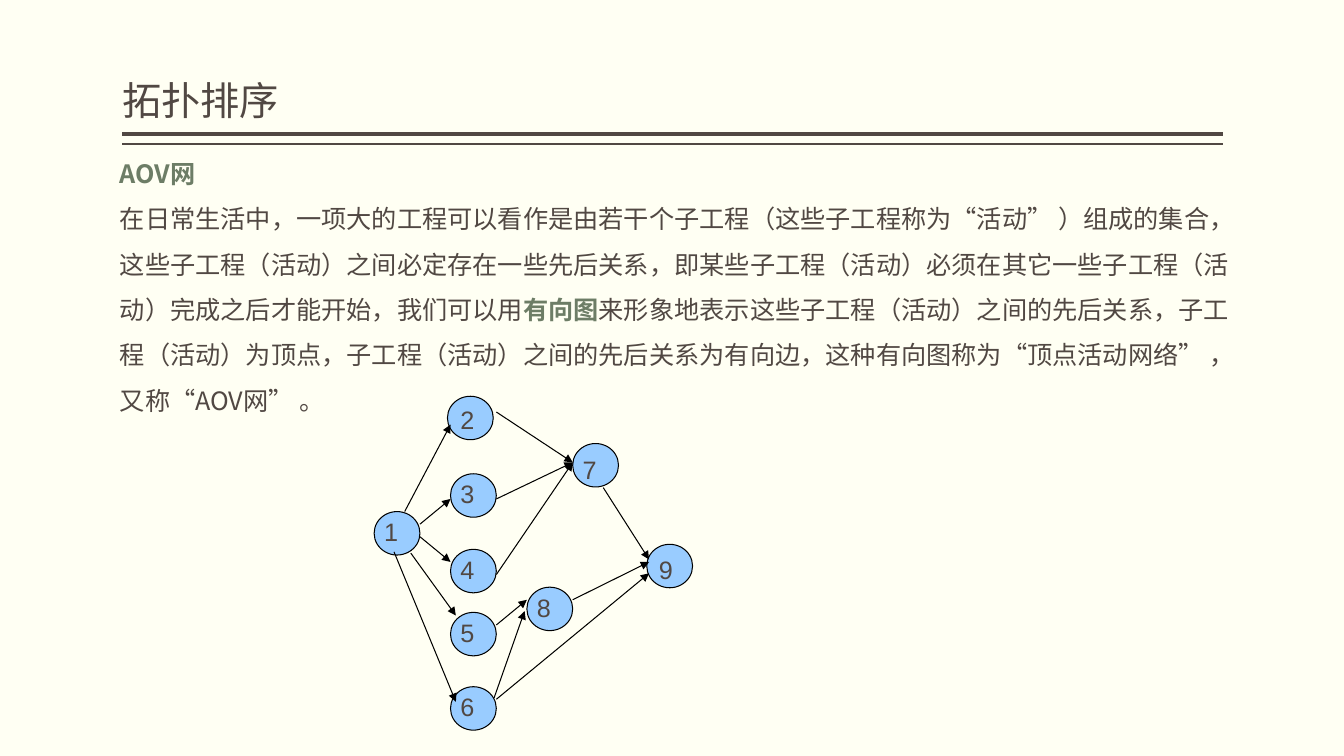
"""Build the slide on topological sorting with its AOV network."""
import lxml.etree
import pptx
import pptx.dml.color
import pptx.enum.lang
import pptx.enum.shapes
import pptx.enum.text
import pptx.oxml.ns
import pptx.util

CREAM = pptx.dml.color.RGBColor(0xFF, 0xFF, 0xF3)
BROWN = pptx.dml.color.RGBColor(0x51, 0x48, 0x43)
GREEN = pptx.dml.color.RGBColor(0x6D, 0x7D, 0x66)
BLUE = pptx.dml.color.RGBColor(0x99, 0xCC, 0xFF)
BLACK = pptx.dml.color.RGBColor(0, 0, 0)
COLUMNS, ROWS = 88, 60
CHINESE, LATIN = "Noto Sans CJK SC", "Arial"

BODY = [
    [("AOV网", True)],
    [
        ("在日常生活中，一项大的工程可以看作是由若干个子工程（这些子工程称为“活动” ）组成的集合，"
         "这些子工程（活动）之间必定存在一些先后关系，即某些子工程（活动）必须在其它一些子工程"
         "（活动）完成之后才能开始，我们可以用", False),
        ("有向图", True),
        ("来形象地表示这些子工程（活动）之间的先后关系，子工程（活动）为顶点，子工程（活动）"
         "之间的先后关系为有向边，这种有向图称为“顶点活动网络” ，又称“AOV网” 。", False),
    ],
]
VERTICES = {
    1: (24.5, 40.6), 2: (29.5, 31.7), 3: (29.5, 37.6),
    4: (29.5, 43.6), 5: (29.5, 48.6), 6: (29.5, 54.5),
    7: (37.5, 35.7), 8: (34.5, 46.6), 9: (42.5, 43.6),
}
CIRCLE_SHIFTS = {2: (-0.2, -0.25), 7: (0, -0.5), 9: (-0.15, -0.4)}
EDGES = [
    (1, (2, 0), 2, (0, 2)), (1, (3, 1), 3, (0, 2)),
    (1, (3, 2), 4, (0, 1)), (1, (2.4, 3.3), 5, (0.35, 0.25)),
    (1, (1.3, 3.2), 6, (0.35, 1.2)), (2, (3, 1), 7, (0, 1)),
    (3, (3, 2), 7, (0, 1)), (4, (3, 2), 7, (0, 1)),
    (5, (3, 1), 8, (0, 1)), (6, (2.85, 0.9), 8, (-0.15, 1.9)),
    (7, (2, 3), 9, (0, 0.8)), (8, (3, 1), 9, (0, 1)),
    (6, (3, 1), 9, (0, 1.9)),
]


def set_attributes(target, values):
    """Set every attribute named in the dict of values."""
    for name, value in values.items():
        setattr(target, name, value)


def shift(point, offset):
    """Move a grid point by an offset."""
    return point[0] + offset[0], point[1] + offset[1]


class SlideBuilder:
    """Place styled elements on a slide by columns and rows."""

    def __init__(self, presentation):
        """Add a title-only slide with the cream background."""
        self.column = presentation.slide_width / COLUMNS
        self.row = presentation.slide_height / ROWS
        self.slide = presentation.slides.add_slide(presentation.slide_layouts[5])
        self.slide.background.fill.solid()
        self.slide.background.fill.fore_color.rgb = CREAM

    def lengths(self, *cells):
        """Turn alternating columns and rows into lengths."""
        units = (self.column, self.row)
        return [round(cell * units[index % 2]) for index, cell in enumerate(cells)]

    def run(self, paragraph, text, size, face, color=BROWN, bold=False):
        """Add a run with its font."""
        run = paragraph.add_run()
        run.text = text
        set_attributes(run.font, {
            "size": pptx.util.Pt(size), "name": face, "bold": bold,
            "language_id": pptx.enum.lang.MSO_LANGUAGE_ID.SIMPLIFIED_CHINESE,
        })
        run.font.color.rgb = color
        properties = run.font._element
        east_asian = lxml.etree.Element(pptx.oxml.ns.qn("a:ea"), typeface=face)
        properties.find(pptx.oxml.ns.qn("a:latin")).addnext(east_asian)

    def title(self, text, *box):
        """Move and format the title placeholder."""
        shape = self.slide.shapes.title
        set_attributes(shape, dict(zip(("left", "top", "width", "height"), self.lengths(*box))))
        set_attributes(shape.text_frame, {
            "margin_left": 0, "margin_right": 0, "word_wrap": True,
            "vertical_anchor": pptx.enum.text.MSO_ANCHOR.BOTTOM,
        })
        paragraph = shape.text_frame.paragraphs[0]
        set_attributes(paragraph, {"alignment": pptx.enum.text.PP_ALIGN.LEFT, "line_spacing": 0.9})
        self.run(paragraph, text, 28, CHINESE)

    def body(self, paragraphs, *box):
        """Add the running text with green key terms."""
        frame = self.slide.shapes.add_textbox(*self.lengths(*box)).text_frame
        frame.word_wrap = True
        for index, pieces in enumerate(paragraphs):
            paragraph = frame.add_paragraph() if index else frame.paragraphs[0]
            paragraph.line_spacing = 1.5
            for text, key in pieces:
                self.run(paragraph, text, 18, CHINESE, GREEN if key else BROWN, key)

    def line(self, start, end, color, width, arrow=False):
        """Add a straight line, with an arrowhead on request."""
        connector = self.slide.shapes.add_connector(
            pptx.enum.shapes.MSO_CONNECTOR.STRAIGHT, *self.lengths(*start, *end))
        connector.line.color.rgb = color
        connector.line.width = pptx.util.Pt(width)
        if arrow:
            lxml.etree.SubElement(
                connector.line._get_or_add_ln(), pptx.oxml.ns.qn("a:tailEnd"), type="triangle")
        lxml.etree.SubElement(connector._element.spPr, pptx.oxml.ns.qn("a:effectLst"))

    def circle(self, place):
        """Add the disc of a vertex."""
        shape = self.slide.shapes.add_shape(
            pptx.enum.shapes.MSO_SHAPE.OVAL, *self.lengths(*place, 3, 3.45))
        shape.shadow.inherit = False
        shape.fill.solid()
        shape.fill.fore_color.rgb = BLUE
        shape.line.color.rgb = BLACK
        shape.line.width = pptx.util.Pt(0.75)

    def label(self, text, place):
        """Add the number of a vertex."""
        frame = self.slide.shapes.add_textbox(*self.lengths(*place, 2.6, 2.95)).text_frame
        frame.word_wrap = True
        self.run(frame.paragraphs[0], text, 18, LATIN)


def main():
    """Build and save the presentation."""
    presentation = pptx.Presentation()
    presentation.slide_width = pptx.util.Inches(13.33)
    presentation.slide_height = pptx.util.Inches(7.5)
    builder = SlideBuilder(presentation)
    for row, width in ((10.64, 3), (11.44, 1)):
        builder.line((8, row), (80.1, row), BROWN, width)
    builder.title("拓扑排序", 8, 0.64, 72.1, 9.6)
    builder.body(BODY, 7.2, 10.96, 75.3, 22.16)
    for number, place in VERTICES.items():
        builder.circle(shift(place, CIRCLE_SHIFTS.get(number, (0, 0))))
        builder.label(str(number), place)
    for source, leave, target, arrive in EDGES:
        builder.line(shift(VERTICES[source], leave), shift(VERTICES[target], arrive),
                     BLACK, 0.75, arrow=True)
    presentation.save("out.pptx")


if __name__ == "__main__":
    main()
